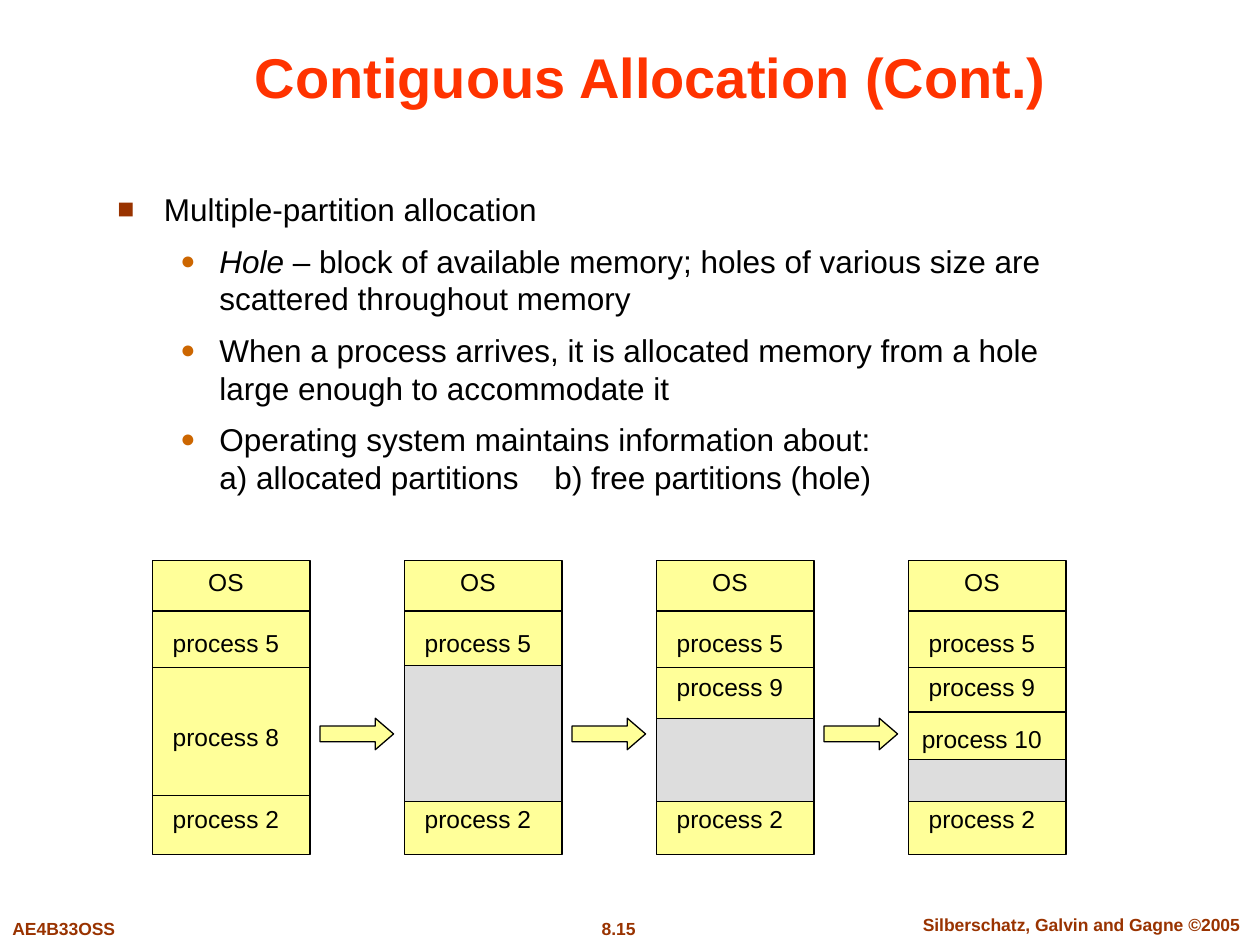
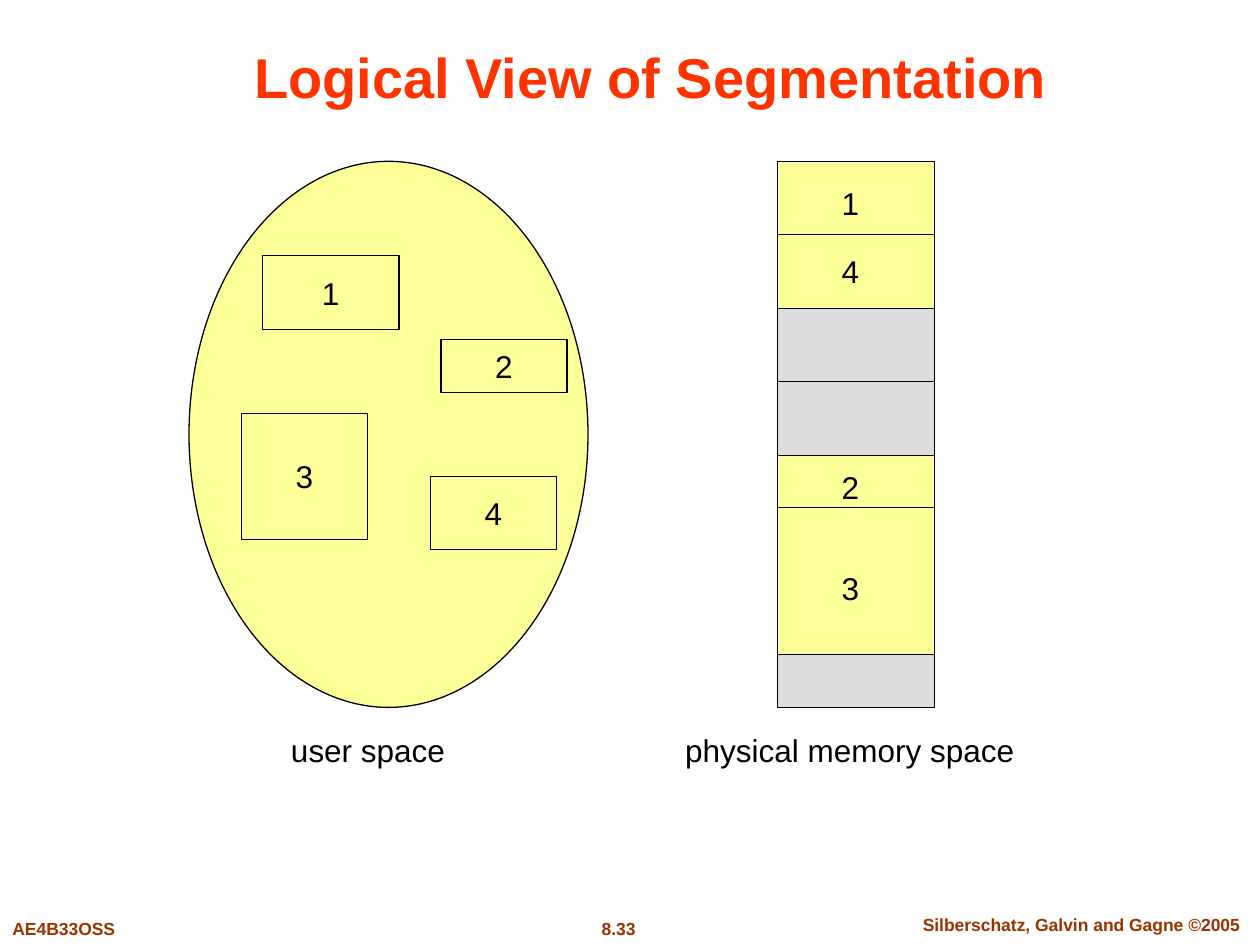
from lxml import etree
from pptx import Presentation
from pptx.dml.color import RGBColor
from pptx.enum.shapes import MSO_CONNECTOR, MSO_SHAPE as Shape
from pptx.enum.text import MSO_ANCHOR as Anchor, PP_ALIGN as Align
from pptx.oxml.ns import qn
from pptx.util import Pt

# Shared look
FONT = "Arial"
BLACK, RED, BROWN, ORANGE = "000000", "FF3300", "993300", "CC6600"
YELLOW, GREY = "FFFF99", "DDDDDD"
BLOCK_WIDTH = 90

# Memory columns on the first slide
COLUMN_LEFT, COLUMN_STEP = 87.12, 144
COLUMN_TOP, COLUMN_BOTTOM, HOLE_BOTTOM = 320.4, 488.2, 458
COMMON_DIVIDERS = [349.2, 381.6, 454.5]
COMMON_LABELS = [("OS", 332.6), ("process 5", 367.5), ("process 2", 468)]
PROCESS_9 = ("process 9", 392.6)
# (own labels with their middles, own dividers, top of the hole)
STAGES = [
    ([("process 8", 421)], [], None),
    ([], [], 380.2),
    ([PROCESS_9], [], 410.4),
    ([PROCESS_9, ("process 10", 422.2)], [406.8], 434.2),
]


def rgb(hex_color):
    return RGBColor.from_string(hex_color)


def write(paragraph, text, size=18, color=BLACK, bold=False, italic=False):
    """Append formatted text; a newline becomes a line break."""
    for number, line in enumerate(text.split("\n")):
        if number:
            paragraph.add_line_break()
        run = paragraph.add_run()
        run.text = line
        run.font.name, run.font.size = FONT, Pt(size)
        run.font.bold, run.font.italic = bold, italic
        run.font.color.rgb = rgb(color)


def add_box(slide, left, top, width, height, anchor=Anchor.TOP, wrap=True):
    box = slide.shapes.add_textbox(Pt(left), Pt(top), Pt(width), Pt(height))
    box.text_frame.word_wrap = wrap
    box.text_frame.vertical_anchor = anchor
    return box.text_frame


def add_text(slide, text, left, top, width, height, align=Align.CENTER,
             anchor=Anchor.TOP, wrap=True, **font):
    paragraph = add_box(slide, left, top, width, height, anchor, wrap).paragraphs[0]
    paragraph.alignment = align
    write(paragraph, text, **font)


def add_label(slide, text, center, middle, width=84, **font):
    """One line of text centred on a point."""
    add_text(slide, text, center - width / 2, middle - 14, width, 28,
             anchor=Anchor.MIDDLE, wrap=False, **font)


def add_block(slide, left, top, width, height, fill=YELLOW, kind=Shape.RECTANGLE, text=""):
    block = slide.shapes.add_shape(kind, Pt(left), Pt(top), Pt(width), Pt(height))
    block.shadow.inherit = False
    block.fill.solid()
    block.fill.fore_color.rgb = rgb(fill)
    block.line.color.rgb = rgb(BLACK)
    block.line.width = Pt(0.75)
    if text:
        frame = block.text_frame
        frame.word_wrap = False
        frame.vertical_anchor = Anchor.MIDDLE
        frame.paragraphs[0].alignment = Align.CENTER
        write(frame.paragraphs[0], text)
    return block


def add_divider(slide, left, y):
    divider = slide.shapes.add_connector(
        MSO_CONNECTOR.STRAIGHT, Pt(left), Pt(y), Pt(left + BLOCK_WIDTH), Pt(y))
    divider.line.color.rgb = rgb(BLACK)
    divider.line.width = Pt(0.75)
    etree.SubElement(divider.element.spPr, qn("a:effectLst"))


def set_bullet(paragraph, char, color, percent, margin, hanging, tabs=()):
    props = paragraph._p.get_or_add_pPr()
    props.set("marL", str(Pt(margin)))
    props.set("indent", str(-Pt(hanging)))
    bullet_color = etree.SubElement(props, qn("a:buClr"))
    etree.SubElement(bullet_color, qn("a:srgbClr"), val=color)
    etree.SubElement(props, qn("a:buSzPct"), val=str(percent * 1000))
    etree.SubElement(props, qn("a:buFont"), typeface=FONT)
    etree.SubElement(props, qn("a:buChar"), char=char)
    if tabs:
        stops = etree.SubElement(props, qn("a:tabLst"))
        for stop in tabs:
            etree.SubElement(stops, qn("a:tab"), pos=str(Pt(stop)), algn="l")


def add_points(slide, heading, points):
    frame = add_box(slide, 60, 105, 579, 205)
    first = frame.paragraphs[0]
    set_bullet(first, "■", BROWN, 90, 26.6, 26.6)
    write(first, heading)
    for runs in points:
        point = frame.add_paragraph()
        # Same place, measured from the indent and from the box edge
        set_bullet(point, "●", ORANGE, 80, 58.3, 22.3, tabs=(191.5, 249.8))
        point.level = 1
        point.space_before = Pt(7.9)
        for text, italic in runs:
            write(point, text, italic=italic)


def new_slide(deck, title, number):
    slide = deck.slides.add_slide(deck.slide_layouts[6])
    footer = dict(size=10, color=BROWN, bold=True)
    add_text(slide, number, 318.2, 521, 70.6, 19.4, **footer)
    add_text(slide, "Silberschatz, Galvin and Gagne ©2005", 511, 518.8, 213.8, 19.4,
             wrap=False, **footer)
    add_text(slide, "AE4B33OSS", 0, 521, 90, 19.4, align=Align.LEFT, **footer)
    add_text(slide, title, 54, 18, 635.8, 48.2, anchor=Anchor.BOTTOM,
             size=32, color=RED, bold=True)
    return slide


def add_memory_column(slide, left, labels, dividers, hole_top):
    add_block(slide, left, COLUMN_TOP, BLOCK_WIDTH, COLUMN_BOTTOM - COLUMN_TOP)
    for y in COMMON_DIVIDERS + dividers:
        add_divider(slide, left, y)
    if hole_top:
        add_block(slide, left, hole_top, BLOCK_WIDTH, HOLE_BOTTOM - hole_top, GREY)
    for text, middle in COMMON_LABELS + labels:
        add_label(slide, text, left + 42, middle, size=14)


def build_allocation(deck):
    slide = new_slide(deck, "Contiguous Allocation (Cont.)", "8.15")
    add_points(slide, "Multiple-partition allocation", [
        [("Hole", True), (" – block of available memory; holes of various size are "
                          "scattered throughout memory", False)],
        [("When a process arrives, it is allocated memory from a hole "
          "large enough to accommodate it", False)],
        [("Operating system maintains information about:\n"
          "a) allocated partitions\tb) free partitions (hole)", False)],
    ])
    for index, stage in enumerate(STAGES):
        left = COLUMN_LEFT + index * COLUMN_STEP
        add_memory_column(slide, left, *stage)
        if index < len(STAGES) - 1:
            arrow = add_block(slide, left + 95.8, 410.4, 42, 18, kind=Shape.RIGHT_ARROW)
            arrow.adjustments[0], arrow.adjustments[1] = 0.5, 0.58


def build_segmentation(deck):
    slide = new_slide(deck, "Logical View of Segmentation", "8.33")

    # User space with its segments
    add_block(slide, 108, 92.2, 228, 312, kind=Shape.OVAL)
    for text, left, top, width, height in [
        ("1", 150, 146.2, 78, 42),
        ("3", 138, 236.2, 72, 72),
        ("2", 252, 194.2, 72, 30),
        ("4", 246, 272.2, 72, 42),
    ]:
        add_block(slide, left, top, width, height, text=text)

    # Physical memory: (top, bottom, fill, divider)
    memory_left = 444.1
    for top, bottom, fill, divider in [
        (92.2, 176.2, YELLOW, 134.2),
        (176.2, 260.2, GREY, 218.2),
        (260.2, 374.2, YELLOW, 290.2),
        (374.2, 404.2, GREY, None),
    ]:
        add_block(slide, memory_left, top, BLOCK_WIDTH, bottom - top, fill)
        if divider:
            add_divider(slide, memory_left, divider)
    for text, middle in [("1", 116), ("4", 154.8), ("2", 278.2), ("3", 335.8)]:
        add_label(slide, text, 486, middle)

    # Captions
    add_label(slide, "user space", 210.3, 428.4, width=120)
    add_label(slide, "physical memory space", 485.6, 428.4, width=220)


def main():
    deck = Presentation()
    deck.slide_width, deck.slide_height = Pt(720), Pt(540)
    build_allocation(deck)
    build_segmentation(deck)
    deck.save("out.pptx")


if __name__ == "__main__":
    main()
